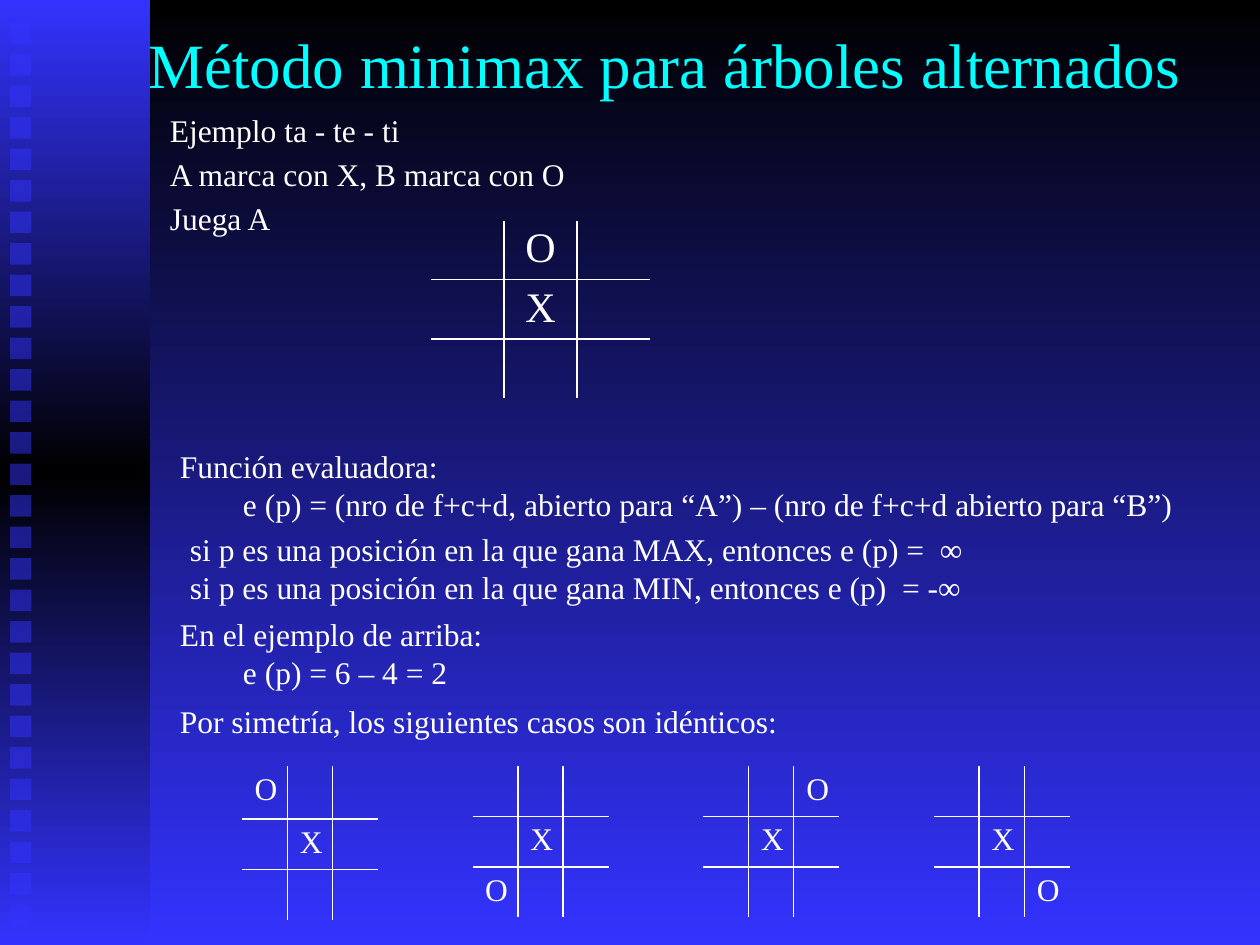
from copy import deepcopy

from lxml.etree import SubElement
from pptx import Presentation
from pptx.dml.color import RGBColor
from pptx.enum.shapes import MSO_SHAPE as Shape
from pptx.enum.text import MSO_ANCHOR as Anchor, MSO_AUTO_SIZE as AutoSize, PP_ALIGN as Align
from pptx.oxml.ns import qn
from pptx.util import Inches, Pt

FONT = "Times New Roman"
BLUE, BLACK, WHITE, CYAN = "3333FF", "000000", "FFFFFF", "00FFFF"
NO_GRID_STYLE = "{2D5ABB26-0587-4C30-8999-92F81FD0307C}"


def color(value):
    return RGBColor.from_string(value)


def write(para, text, size=18, ink=WHITE, align=None, before=0):
    """Put formatted text in a paragraph."""
    para.alignment = align
    if before:
        para.space_before = Pt(before)
    span = para.add_run()
    span.text = text
    span.font.name = FONT
    span.font.size = Pt(size)
    span.font.color.rgb = color(ink)


def shade_down(fill, *inks):
    """Fill with a gradient of two colours from top to bottom."""
    fill.gradient()
    fill.gradient_angle = 270
    for stop, ink in zip(fill.gradient_stops, inks):
        stop.color.rgb = color(ink)


class Painter:
    def __init__(self, page):
        self.page = page

    def background(self, top, bottom):
        shade_down(self.page.background.fill, top, bottom)

    def rectangle(self, left, top, width, height):
        shape = self.page.shapes.add_shape(
            Shape.RECTANGLE, Inches(left), Inches(top), Inches(width), Inches(height))
        shape.shadow.inherit = False
        shape.line.fill.background()
        return shape

    def side_bar(self, width, height, edge, middle):
        """Draw a bar shaded from edge to middle and back to edge."""
        bar = self.rectangle(0, 0, width, height)
        shade_down(bar.fill, edge, middle)
        stops = next(bar.element.iter(qn("a:gsLst")))
        stops.append(deepcopy(stops[0]))
        for stop, position in zip(stops, (0, 50000, 100000)):
            stop.set("pos", str(position))

    def square(self, left, top, side, ink, opacity):
        shape = self.rectangle(left, top, side, side)
        shape.fill.solid()
        shape.fill.fore_color.rgb = color(ink)
        rgb = next(shape.element.spPr.iter(qn("a:srgbClr")))
        SubElement(rgb, qn("a:alpha"), val=str(opacity * 1000))

    def text(self, lines, left, top, width, height, wrap=False,
             anchor=Anchor.TOP, before=0, **style):
        box = self.page.shapes.add_textbox(
            Inches(left), Inches(top), Inches(width), Inches(height))
        frame = box.text_frame
        frame.word_wrap = wrap
        frame.auto_size = AutoSize.NONE if wrap else AutoSize.SHAPE_TO_FIT_TEXT
        frame.vertical_anchor = anchor
        for index, line in enumerate(lines):
            para = frame.add_paragraph() if index else frame.paragraphs[0]
            write(para, line, before=before if index else 0, **style)

    def board(self, marks, left, top, cell_width, row_heights, size=18, margin=0.05):
        """Draw a tic-tac-toe board; marks maps (row, column) to a letter."""
        table = self.page.shapes.add_table(
            3, 3, Inches(left), Inches(top),
            Inches(3 * cell_width), Inches(sum(row_heights))).table
        table.first_row = table.horz_banding = False
        next(table._tbl.iter(qn("a:tableStyleId"))).text = NO_GRID_STYLE
        for column in table.columns:
            column.width = Inches(cell_width)
        for row, height in enumerate(row_heights):
            table.rows[row].height = Inches(height)
            for column in range(3):
                cell = table.cell(row, column)
                cell.margin_top = cell.margin_bottom = Inches(margin)
                self.inner_borders(cell, row, column)
                cell.fill.background()
                if (row, column) in marks:
                    write(cell.text_frame.paragraphs[0], marks[row, column],
                          size=size, align=Align.CENTER)

    def inner_borders(self, cell, row, column):
        """Line only the sides that the cell shares with a neighbour."""
        sides = {"a:lnL": column > 0, "a:lnR": column < 2,
                 "a:lnT": row > 0, "a:lnB": row < 2}
        properties = cell._tc.get_or_add_tcPr()
        for tag, shared in sides.items():
            line = SubElement(properties, qn(tag), w=str(Pt(1)))
            if shared:
                paint = SubElement(line, qn("a:solidFill"))
                SubElement(paint, qn("a:srgbClr"), val=WHITE)
            else:
                SubElement(line, qn("a:noFill"))


def main():
    deck = Presentation()
    deck.slide_width, deck.slide_height = Inches(10), Inches(7.5)
    painter = Painter(deck.slides.add_slide(deck.slide_layouts[6]))

    painter.background(BLACK, BLUE)
    painter.side_bar(1.19, 7.5, BLUE, BLACK)
    for index in range(29):
        painter.square(0.08, 0.18 + 0.25 * index, 0.17, BLUE, opacity=50)

    painter.text(["Método minimax para árboles alternados"], 1.08, 0, 8.5, 1,
                 wrap=True, anchor=Anchor.MIDDLE, size=36, ink=CYAN)
    painter.text(["Ejemplo ta - te - ti", "A marca con X, B marca con O", "Juega A"],
                 1.25, 0.83, 8.5, 1.29, wrap=True, before=3.6)
    painter.board({(0, 1): "O", (1, 1): "X"}, 3.42, 1.75, 0.58, [0.47] * 3,
                  size=24, margin=0.04)

    painter.text(["Función evaluadora:",
                  "\te (p) = (nro de f+c+d, abierto para “A”) – (nro de f+c+d abierto para “B”)"],
                 1.33, 3.5, 8.59, 0.7)
    painter.text(["si p es una posición en la que gana MAX, entonces e (p) =  ∞",
                  "si p es una posición en la que gana MIN, entonces e (p)  = -∞"],
                 1.41, 4.16, 6.34, 0.7)
    painter.text(["En el ejemplo de arriba:", "\te (p) = 6 – 4 = 2"], 1.33, 4.83, 2.82, 0.7)
    painter.text(["Por simetría, los siguientes casos son idénticos:"], 1.33, 5.52, 4.94, 0.4)

    corners = [(0, 0), (2, 0), (0, 2), (2, 2)]
    for index, corner in enumerate(corners):
        first_height = 0.4 if index else 0.42
        painter.board({corner: "O", (1, 1): "X"}, 1.92 + 1.83 * index, 6.08, 0.36,
                      [first_height, 0.4, 0.4])

    deck.save("out.pptx")


if __name__ == "__main__":
    main()
